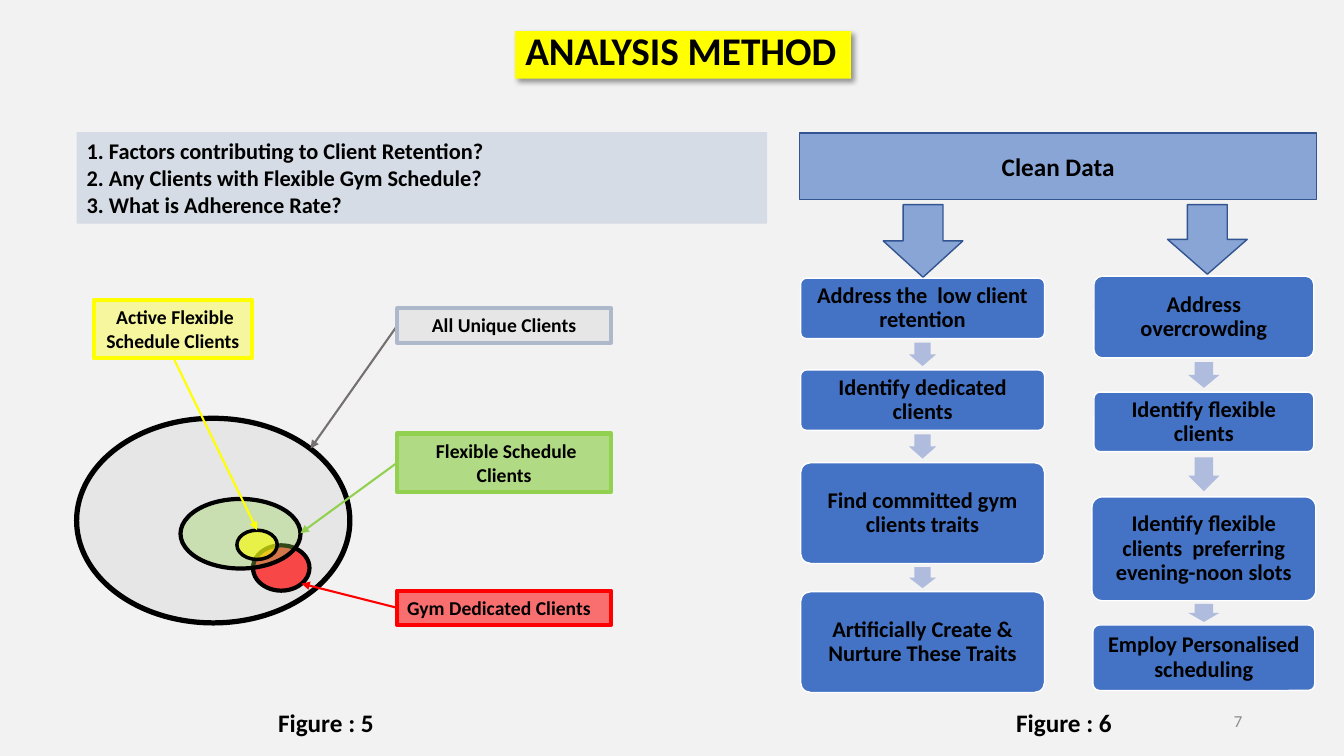
from dataclasses import dataclass
from itertools import pairwise

from lxml import etree
from pptx import Presentation
from pptx.dml.color import RGBColor
from pptx.enum.shapes import MSO_CONNECTOR, MSO_SHAPE
from pptx.enum.text import MSO_ANCHOR, MSO_AUTO_SIZE, PP_ALIGN
from pptx.oxml.ns import qn
from pptx.util import Inches, Pt

RECT, OVAL = MSO_SHAPE.RECTANGLE, MSO_SHAPE.OVAL
ROUND = MSO_SHAPE.ROUNDED_RECTANGLE
DOWN, RIGHT_ARROW = MSO_SHAPE.DOWN_ARROW, MSO_SHAPE.RIGHT_ARROW
STRAIGHT = MSO_CONNECTOR.STRAIGHT
TOP, MIDDLE, BOTTOM = MSO_ANCHOR.TOP, MSO_ANCHOR.MIDDLE, MSO_ANCHOR.BOTTOM
LEFT, CENTER, RIGHT = PP_ALIGN.LEFT, PP_ALIGN.CENTER, PP_ALIGN.RIGHT
JUSTIFY = PP_ALIGN.JUSTIFY


@dataclass(frozen=True)
class Theme:
    font: str = "Calibri"
    page: str = "F2F2F2"
    ink: str = "000000"
    white: str = "FFFFFF"
    yellow: str = "FFFF00"
    red: str = "FF0000"
    green: str = "92D050"
    gray: str = "E7E6E6"
    slate: str = "ADB9CA"
    dark: str = "767171"
    pale: str = "D6DCE5"
    blue: str = "4472C4"
    navy: str = "325491"
    light: str = "B0BCDE"
    faint: str = "8C8C8C"
    title: int = 28
    head: int = 18
    body: int = 16
    label: int = 14
    small: int = 12


THEME = Theme()


def put_text(shape, text, size, color=THEME.ink, bold=True, align=CENTER,
             anchor=MIDDLE, space=1.0, inset=None):
    frame = shape.text_frame
    frame.word_wrap = True
    frame.auto_size = MSO_AUTO_SIZE.NONE
    frame.vertical_anchor = anchor
    if inset is not None:
        frame.margin_left = frame.margin_right = Inches(inset)
        frame.margin_top = frame.margin_bottom = Inches(inset)
    frame.text = text
    for para in frame.paragraphs:
        para.alignment = align
        para.line_spacing = space
        font = para.runs[0].font
        font.name, font.size, font.bold = THEME.font, Pt(size), bold
        font.color.rgb = RGBColor.from_string(color)


class Board:
    def __init__(self, deck, theme):
        self.theme = theme
        self.slide = deck.slides.add_slide(deck.slide_layouts[5])
        self.shapes = self.slide.shapes
        self.paint(self.slide.background.fill, theme.page)

    def paint(self, fill, color, alpha=100):
        fill.solid()
        fill.fore_color.rgb = RGBColor.from_string(color)

    def title(self, text, at):
        head = self.shapes.title
        head.left, head.top, head.width, head.height = map(Inches, at)
        self.paint(head.fill, self.theme.yellow)
        put_text(head, text, self.theme.title, align=LEFT, anchor=BOTTOM, space=0.9)
        props = head._element.spPr
        effects = etree.SubElement(props, qn("a:effectLst"))
        shadow = etree.SubElement(effects, qn("a:outerShdw"), blurRad=str(Pt(4)),
                                  dist=str(Pt(3)), dir="2700000", algn="tl")
        color = etree.SubElement(shadow, qn("a:srgbClr"), val=self.theme.ink)
        etree.SubElement(color, qn("a:alpha"), val="40000")

    def shape(self, kind, at, fill, alpha=100, line=None, width=1, adjust=()):
        item = self.shapes.add_shape(kind, *map(Inches, at))
        item.shadow.inherit = False
        self.paint(item.fill, fill)
        if alpha < 100:
            color = item._element.spPr.find(f"{qn('a:solidFill')}/{qn('a:srgbClr')}")
            etree.SubElement(color, qn("a:alpha"), val=str(alpha * 1000))
        if line:
            item.line.color.rgb = RGBColor.from_string(line)
            item.line.width = Pt(width)
        else:
            item.line.fill.background()
        for index, value in enumerate(adjust):
            item.adjustments[index] = value
        return item

    def oval(self, at, fill, alpha=100, width=3):
        self.shape(OVAL, at, fill, alpha, self.theme.ink, width)

    def label(self, text, at, fill, alpha, line, **form):
        box = self.shape(RECT, at, fill, alpha, line, 3)
        put_text(box, text, self.theme.label, **form)

    def note(self, text, at, size, **form):
        put_text(self.shapes.add_textbox(*map(Inches, at)), text, size, **form)

    def arrow(self, start, end, color):
        line = self.shapes.add_connector(STRAIGHT, *map(Inches, start + end))
        line.line.color.rgb = RGBColor.from_string(color)
        line.line.width = Pt(1.5)
        props = line._element.spPr
        etree.SubElement(props.find(qn("a:ln")), qn("a:tailEnd"), type="triangle")
        etree.SubElement(props, qn("a:effectLst"))

    def flow(self, mid, thick, steps):
        theme = self.theme
        for text, top, width, height in steps:
            box = self.shape(ROUND, (mid - width / 2, top, width, height),
                             theme.blue, line=theme.white, adjust=[0.1])
            put_text(box, text, theme.body, space=0.9, inset=0.09)
        for (_, top, _, height), (_, below, _, _) in pairwise(steps):
            end = top + height
            size = 0.75 * (below - end)
            center = (end + below) / 2
            mark = self.shape(RIGHT_ARROW,
                              (mid - size / 2, center - thick / 2, size, thick),
                              theme.light, adjust=[0.6, 0.5])
            mark.rotation = 90


def main():
    deck = Presentation()
    deck.slide_width, deck.slide_height = Inches(13.33), Inches(7.5)
    t = THEME
    board = Board(deck, t)
    board.title("ANALYSIS METHOD", (5.11, 0.31, 3.33, 0.47))

    goals = board.shape(RECT, (0.76, 1.31, 6.85, 0.91), t.pale)
    put_text(goals, "1. Factors contributing to Client Retention?\n"
             "2. Any Clients with Flexible Gym Schedule?\n"
             "3. What is Adherence Rate?", t.body, align=LEFT, anchor=TOP)

    board.oval((0.76, 4.15, 2.71, 2.03), t.gray, width=3.75)
    board.oval((2.51, 5.41, 0.56, 0.45), t.red, 69)
    board.arrow((3.94, 3.23), (3.08, 4.45), t.dark)
    board.arrow((3.94, 6.03), (2.99, 5.79), t.red)
    board.label("All Unique Clients", (3.94, 3.06, 2.12, 0.34),
                t.gray, 100, t.slate, anchor=TOP)
    board.label("Gym Dedicated Clients", (3.94, 5.86, 2.12, 0.34),
                t.red, 54, t.red, anchor=TOP, align=JUSTIFY)
    board.oval((1.79, 4.95, 1.19, 0.69), t.green, 35)
    board.arrow((3.94, 4.59), (2.98, 5.29), t.green)
    board.label(" Flexible Schedule Clients", (3.94, 4.3, 2.12, 0.58),
                t.green, 68, t.green)
    board.oval((2.35, 5.26, 0.4, 0.29), t.yellow, 59, 2.5)
    board.arrow((1.72, 3.55), (2.55, 5.26), t.yellow)
    board.label(" Active Flexible Schedule Clients", (0.93, 2.98, 1.57, 0.57),
                t.yellow, 34, t.yellow, anchor=TOP)

    data = board.shape(RECT, (7.93, 1.32, 5.13, 0.66), t.blue, 60, t.navy)
    put_text(data, "Clean Data", t.head)
    board.flow(9.15, 0.27, [
        ("Address the  low client retention", 2.76, 2.42, 0.6),
        ("Identify dedicated clients", 3.67, 2.42, 0.6),
        ("Find committed gym clients traits", 4.59, 2.42, 1),
        ("Artificially Create & Nurture These Traits", 5.87, 2.42, 1),
    ])
    board.flow(11.94, 0.31, [
        ("Address overcrowding", 2.74, 2.18, 0.81),
        ("Identify flexible clients", 3.89, 2.18, 0.59),
        ("Identify flexible clients  preferring evening-noon slots", 4.93, 2.22, 1.03),
        ("Employ Personalised scheduling", 6.2, 2.2, 0.65),
    ])
    for left, height in ((8.76, 0.72), (11.58, 0.69)):
        board.shape(DOWN, (left, 2.03, 0.79, height), t.blue, 60, t.navy)

    for text, left in (("Figure : 6", 9.98), ("Figure : 5", 2.66)):
        board.note(text, (left, 6.97, 1.27, 0.4), t.head, align=LEFT, anchor=TOP)
    board.note("7", (9.42, 6.95, 3, 0.4), t.small, color=t.faint,
               bold=False, align=RIGHT)
    deck.save("out.pptx")


if __name__ == "__main__":
    main()
